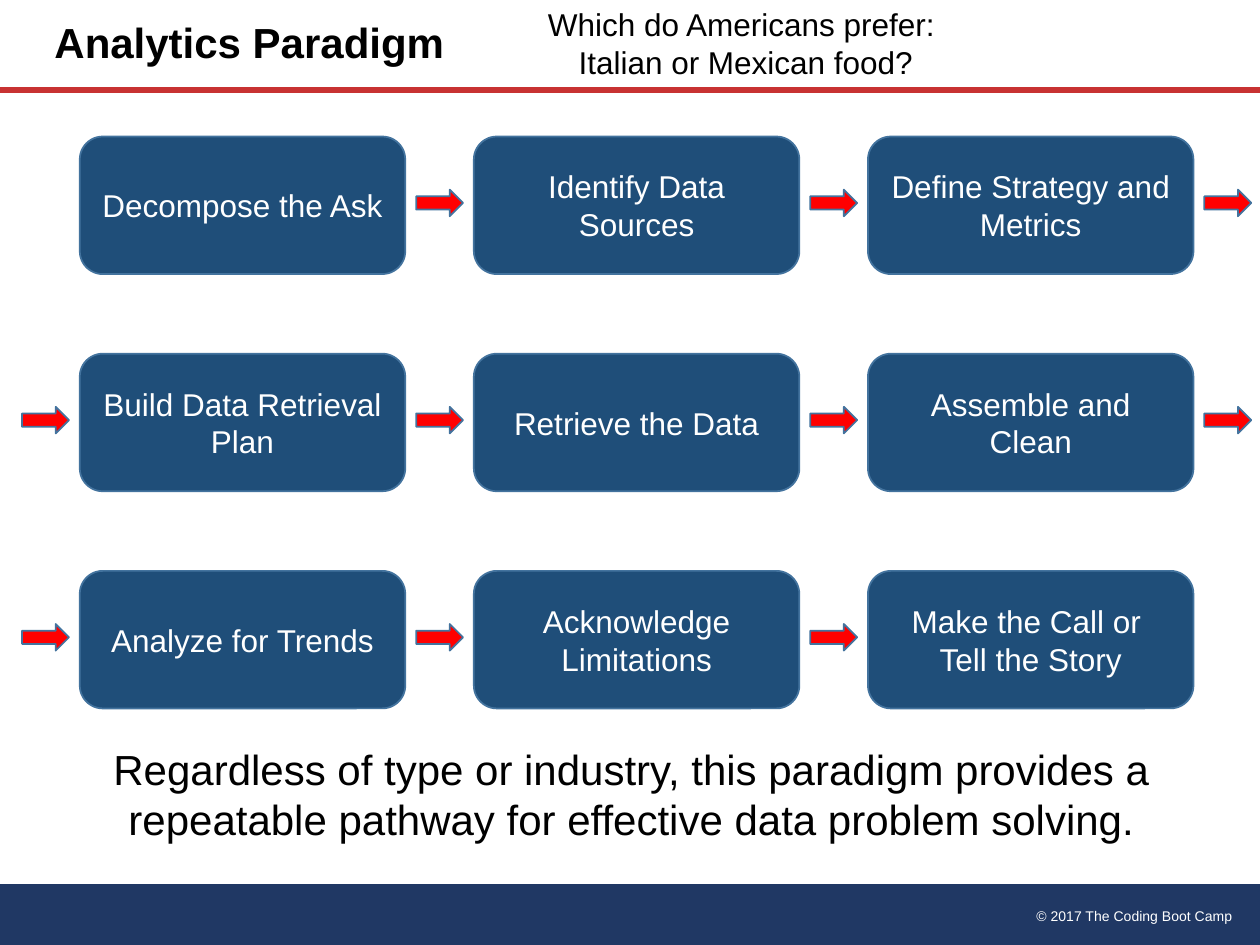
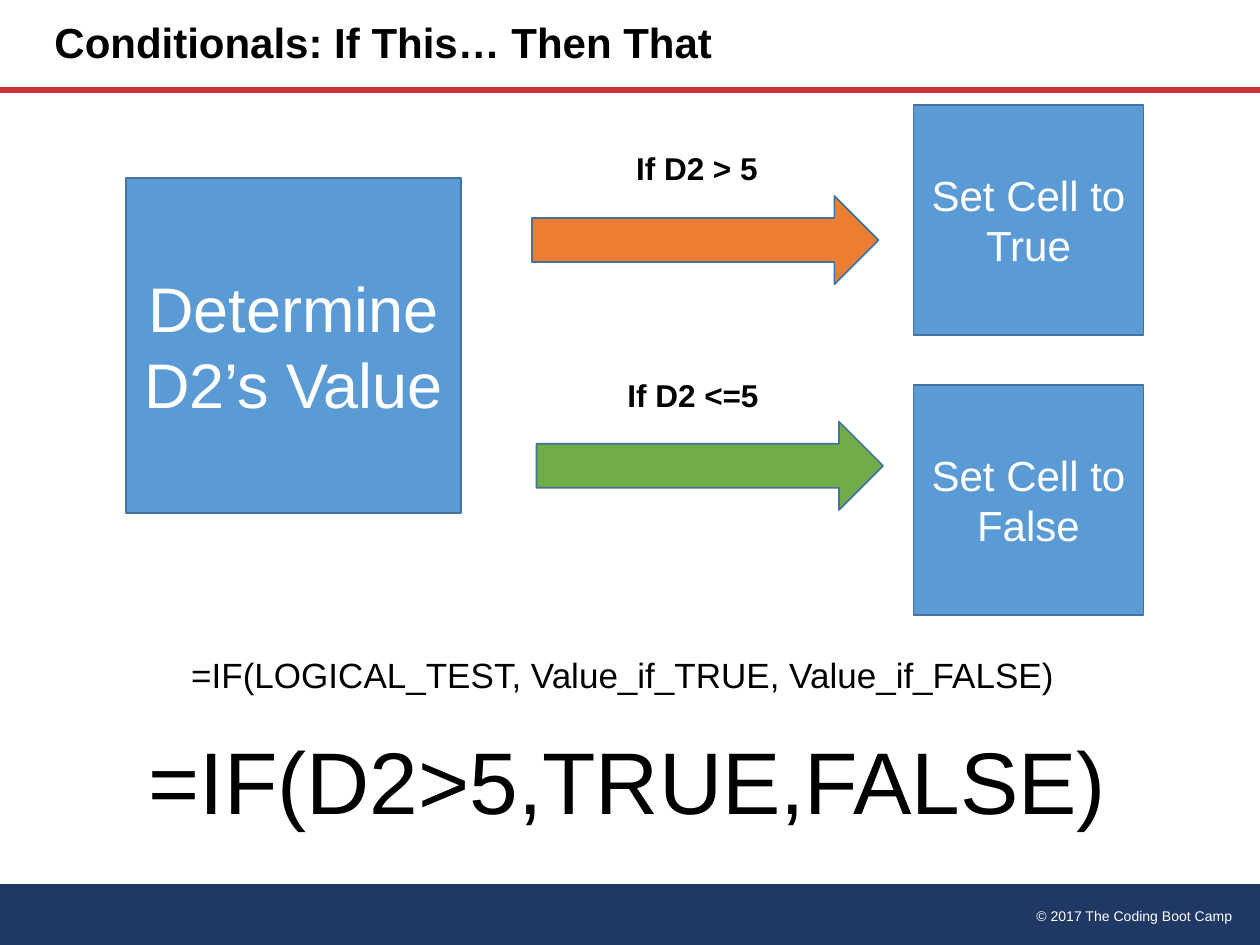
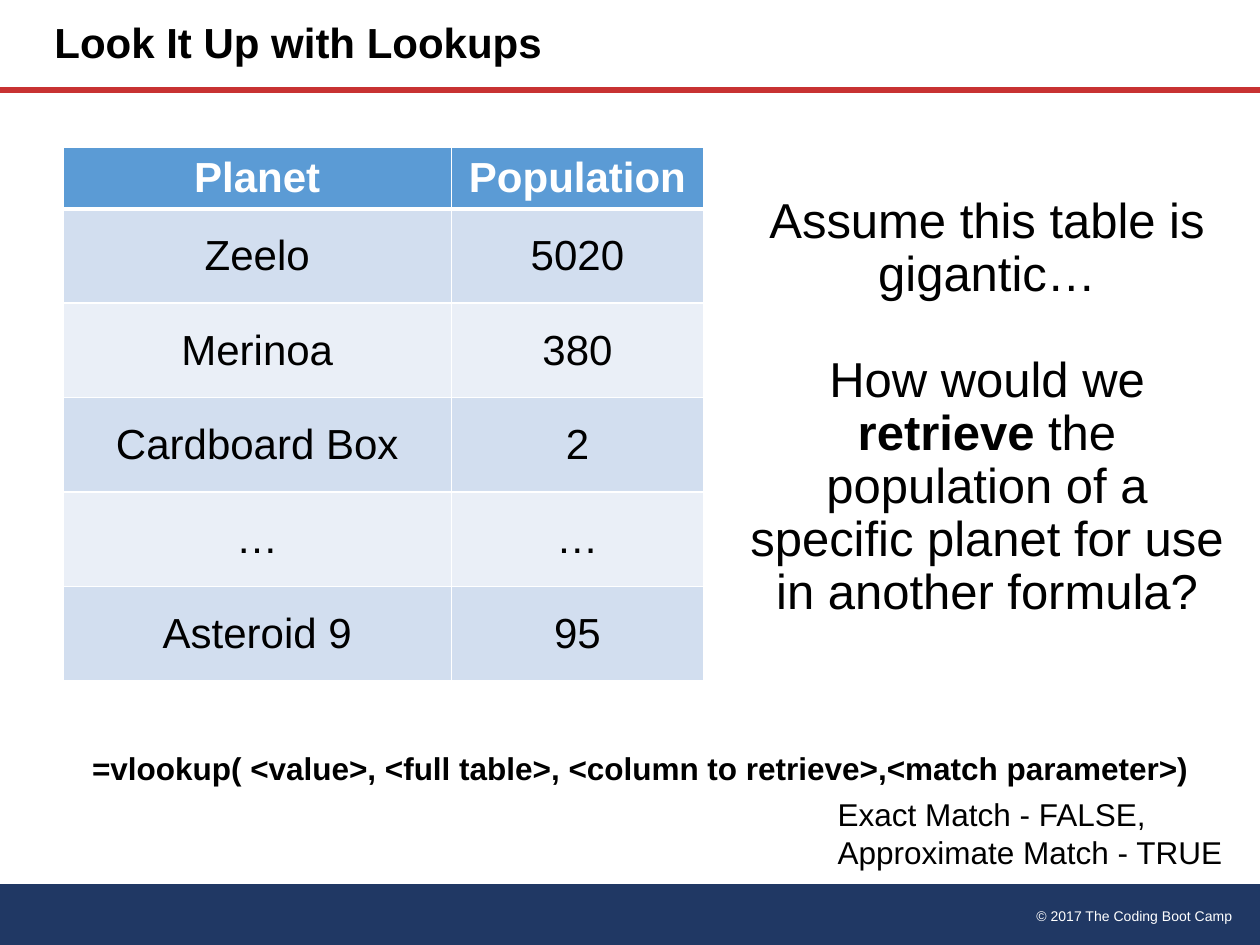
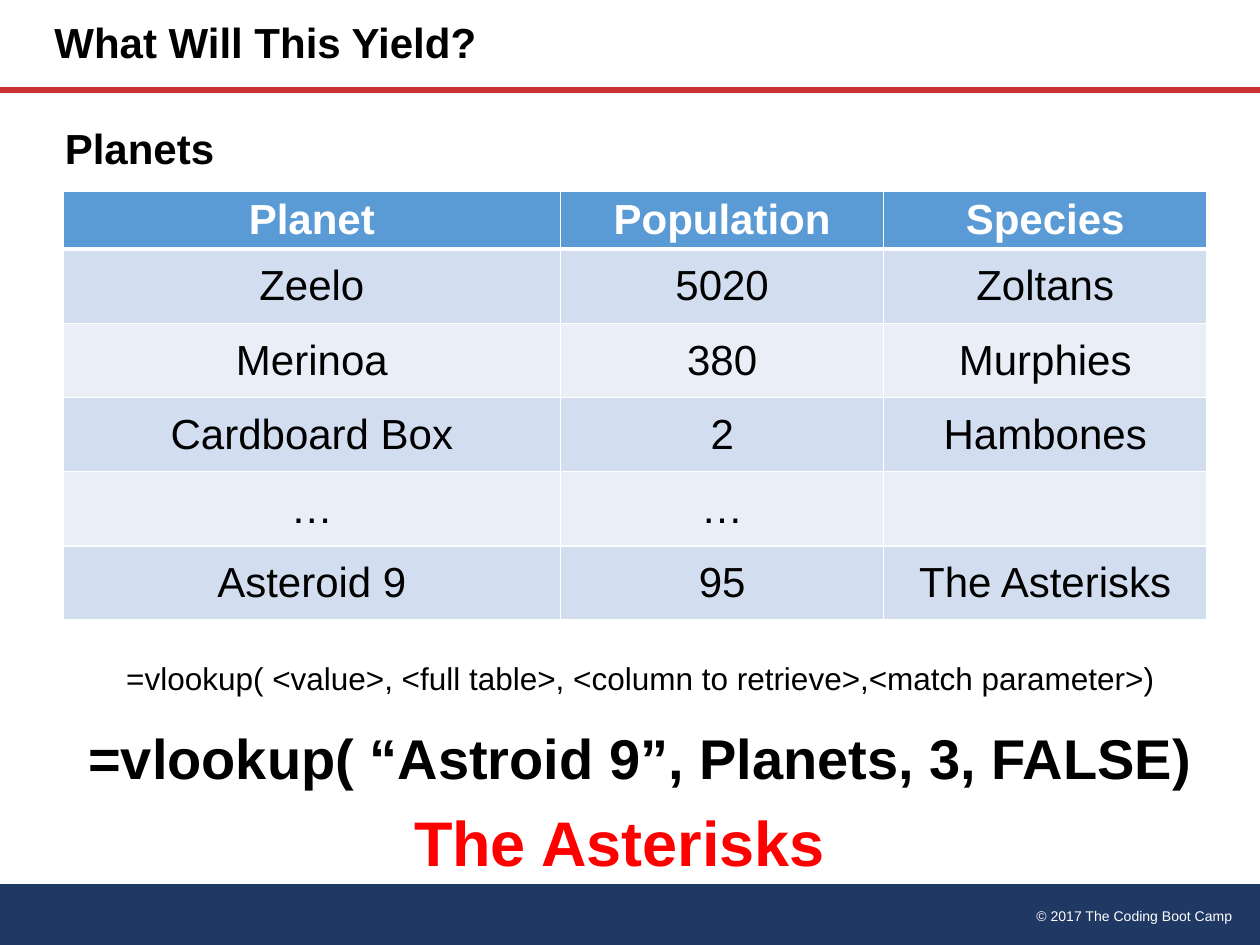
from collections import namedtuple

from lxml import etree
from pptx import Presentation
from pptx.dml.color import RGBColor
from pptx.enum.shapes import MSO_CONNECTOR, MSO_SHAPE
from pptx.enum.text import MSO_ANCHOR, PP_ALIGN
from pptx.oxml.ns import qn
from pptx.util import Pt

LEFT, CENTER, RIGHT = PP_ALIGN.LEFT, PP_ALIGN.CENTER, PP_ALIGN.RIGHT
TOP, MIDDLE = MSO_ANCHOR.TOP, MSO_ANCHOR.MIDDLE
RECT, ROUNDED = MSO_SHAPE.RECTANGLE, MSO_SHAPE.ROUNDED_RECTANGLE
ARROW, PROCESS = MSO_SHAPE.RIGHT_ARROW, MSO_SHAPE.FLOWCHART_PROCESS
STRAIGHT = MSO_CONNECTOR.STRAIGHT

FONT = "Arial"
BLACK, WHITE, RED = "000000", "FFFFFF", "FF0000"
NAVY, RULE_RED = "203864", "C83232"
STEP_BLUE, BLUE, OUTLINE = "1F4E79", "5B9BD5", "43739E"
ORANGE, GREEN = "ED7D31", "70AD47"
ROW_FILLS = ["EAEFF7", "D2DEEF"]

TITLE = {"size": 24, "bold": True, "anchor": MIDDLE, "spacing": 0.9}
CENTERED = {"align": CENTER, "anchor": MIDDLE, "spacing": 0.9}

STEPS = [
    [["Decompose the Ask"], ["Identify Data Sources"], ["Define Strategy and Metrics"]],
    [["Build Data Retrieval Plan"], ["Retrieve the Data"], ["Assemble and Clean"]],
    [["Analyze for Trends"], ["Acknowledge Limitations"],
     ["Make the Call or ", "Tell the Story"]],
]
PLANETS = [
    ["Planet", "Population", "Species"],
    ["Zeelo", "5020", "Zoltans"],
    ["Merinoa", "380", "Murphies"],
    ["Cardboard Box", "2", "Hambones"],
    ["…", "…", ""],
    ["Asteroid 9", "95", "The Asterisks"],
]
VLOOKUP_SYNTAX = "=vlookup( <value>, <full table>, <column to retrieve>,<match parameter>)"


class Box(namedtuple("Box", "left top width height")):
    def inside(self, left, top, width, height):
        return Box(self.left + left, self.top + top, width, height)

    def points(self):
        return [Pt(length) for length in self]


PAGE = Box(0, 0, 720, 540)


def color(value):
    return RGBColor.from_string(value)


def assign(target, values):
    for attribute, value in values.items():
        setattr(target, attribute, value)


def write(frame, paragraphs, size, ink=BLACK, bold=False, align=LEFT,
          anchor=TOP, spacing=1.0, gap=0, wrap=True):
    assign(frame, {"word_wrap": wrap, "vertical_anchor": anchor})
    for index, content in enumerate(paragraphs):
        paragraph = frame.add_paragraph() if index else frame.paragraphs[0]
        assign(paragraph, {"alignment": align, "line_spacing": spacing})
        if index and gap:
            paragraph.space_before = Pt(gap)
        runs = [(content, bold)] if isinstance(content, str) else content
        for text, weight in runs:
            run = paragraph.add_run()
            run.text = text
            assign(run.font, {"name": FONT, "size": Pt(size), "bold": weight})
            run.font.color.rgb = color(ink)


def add_text(slide, box, paragraphs, **style):
    write(slide.shapes.add_textbox(*box.points()).text_frame, paragraphs, **style)


def add_block(slide, preset, box, fill, outline=OUTLINE):
    block = slide.shapes.add_shape(preset, *box.points())
    block.shadow.inherit = False
    block.fill.solid()
    block.fill.fore_color.rgb = color(fill)
    if outline:
        block.line.color.rgb = color(outline)
        block.line.width = Pt(1)
    else:
        block.line.fill.background()
    return block


def add_labelled_block(slide, preset, box, fill, paragraphs, size):
    block = add_block(slide, preset, box, fill)
    write(block.text_frame, paragraphs, size, WHITE, align=CENTER, anchor=MIDDLE)


def add_frame(slide, box, title):
    footer = box.inside(0, box.height - 34.6, box.width, 34.6)
    add_block(slide, PROCESS, footer, NAVY, None)
    add_text(slide, footer.inside(491.8, 9.4, 219.6, 17.3),
             ["© 2017 The Coding Boot Camp"], size=8, ink=WHITE, align=RIGHT)
    rule_y = box.top + 51.6
    rule = slide.shapes.add_connector(
        STRAIGHT, Pt(box.left), Pt(rule_y), Pt(box.left + box.width), Pt(rule_y))
    rule.line.color.rgb = color(RULE_RED)
    rule.line.width = Pt(3.25)
    etree.SubElement(rule._element.spPr, qn("a:effectLst"))
    add_text(slide, box.inside(24, 0, 430.6, 51.6), [title], **TITLE)


def add_step_grid(slide, box):
    step_width, step_height = 186, 78.6
    column_pitch = 225.2
    row_pitch = (box.height - step_height) / (len(STEPS) - 1)
    last_row = len(STEPS) - 1
    for row, steps in enumerate(STEPS):
        top = row * row_pitch
        for column, step in enumerate(steps):
            add_labelled_block(
                slide, ROUNDED,
                box.inside(column * column_pitch, top, step_width, step_height),
                STEP_BLUE, step, 18)
        first_gap = 0 if row else 1
        end_gap = len(steps) + 1 if row < last_row else len(steps)
        for gap in range(first_gap, end_gap):
            add_block(slide, ARROW,
                      box.inside(gap * column_pitch - 33, top + 30.4, 26.8, 15.2), RED)


def add_decision(slide, box):
    add_labelled_block(slide, RECT, box.inside(0, 41.6, 191.6, 191.6), BLUE,
                       ["Determine D2’s Value"], 36)
    branches = [
        ("If D2 > 5", "Set Cell to True", ORANGE, 284.4, 85, 232),
        ("If D2 <=5", "Set Cell to False", GREEN, 279.4, 90, 234.6),
    ]
    for index, (test, outcome, fill, test_left, test_width, arrow_left) in enumerate(branches):
        add_labelled_block(slide, RECT, box.inside(450, index * 160, 131.4, 131.4),
                           BLUE, [outcome], 24)
        add_block(slide, ARROW, box.inside(arrow_left, 52 + index * 129, 198, 50.4), fill)
        add_text(slide, box.inside(test_left, 21.6 + index * 130, test_width, 28.8),
                 [test], size=18, bold=True, wrap=False)


def set_borders(cell, widths):
    properties = cell._tc.get_or_add_tcPr()
    for side, width in widths.items():
        border = etree.SubElement(properties, qn(f"a:ln{side}"), w=str(Pt(width)))
        fill = etree.SubElement(border, qn("a:solidFill"))
        etree.SubElement(fill, qn("a:srgbClr"), val=WHITE)


def add_planet_table(slide, box, column_widths, header_height):
    columns = len(column_widths)
    table = slide.shapes.add_table(len(PLANETS), columns, *box.points()).table
    for column, width in zip(table.columns, column_widths):
        column.width = Pt(width)
    row_height = (box.height - header_height) / (len(PLANETS) - 1)
    for index, values in enumerate(PLANETS):
        header = index == 0
        table.rows[index].height = Pt(row_height if index else header_height)
        for column, value in enumerate(values[:columns]):
            cell = table.cell(index, column)
            set_borders(cell, {"L": 1, "R": 1, "T": 3 if index == 1 else 1,
                               "B": 3 if header else 1})
            cell.fill.solid()
            cell.fill.fore_color.rgb = color(BLUE if header else ROW_FILLS[index % 2])
            assign(cell, {"margin_top": Pt(2), "margin_bottom": Pt(2),
                          "vertical_anchor": MIDDLE})
            write(cell.text_frame, [value], 24, WHITE if header else BLACK,
                  bold=header, align=CENTER, anchor=MIDDLE)


def paradigm_slide(slide, box):
    add_frame(slide, box, "Analytics Paradigm")
    add_step_grid(slide, box.inside(45.6, 78, 637, 326.8))
    add_text(slide, box.inside(26.6, 421.2, 668.2, 65.5),
             ["Regardless of type or industry, this paradigm provides a repeatable "
              "pathway for effective data problem solving."], size=24, align=CENTER)
    add_text(slide, box.inside(246.2, -0.7, 360, 51),
             ["Which do Americans prefer: ", "Italian or Mexican food?"],
             size=18, align=CENTER)


def conditionals_slide(slide, box):
    add_frame(slide, box, "Conditionals: If This… Then That")
    add_decision(slide, box.inside(72, 60, 581.4, 291.4))
    add_text(slide, box.inside(102.2, 370, 551.6, 31.6),
             ["=IF(LOGICAL_TEST, Value_if_TRUE, Value_if_FALSE)"], size=20)
    add_text(slide, box.inside(78, 411.8, 567.4, 67.6),
             ["=IF(D2>5,TRUE,FALSE)"], size=50, wrap=False)


def lookup_slide(slide, box):
    add_frame(slide, box, "Look It Up with Lookups")
    add_planet_table(slide, box.inside(36, 84.4, 366, 304.6), [222, 144], 35)
    add_text(slide, box.inside(24, 414, 684, 52.6), [VLOOKUP_SYNTAX],
             size=18, bold=True, **CENTERED)
    add_text(slide, box.inside(420, 102.2, 288, 262),
             ["Assume this table is gigantic…",
              [("How would we ", False), ("retrieve", True),
               (" the population of a specific planet for use in another formula?", False)]],
             size=28, gap=30, **CENTERED)
    add_text(slide, box.inside(471.6, 450.7, 236.2, 51),
             ["Exact Match - FALSE,", "Approximate Match - TRUE"], size=18, wrap=False)


def yield_slide(slide, box):
    add_frame(slide, box, "What Will This Yield?")
    add_planet_table(slide, box.inside(36, 109.4, 653.6, 245), [284.4, 184.6, 184.6], 33)
    add_text(slide, box.inside(24, 409, 684, 52.6),
             ["=vlookup( “Astroid 9”, Planets, 3, FALSE)"],
             size=32, bold=True, **CENTERED)
    add_text(slide, box.inside(30, 59.8, 684, 52.6), ["Planets"], **TITLE)
    add_text(slide, box.inside(12, 457.2, 684, 52.6), ["The Asterisks"],
             size=36, ink=RED, bold=True, **CENTERED)
    add_text(slide, box.inside(60, 373, 612, 28.8), [VLOOKUP_SYNTAX],
             size=18, align=CENTER)


def main():
    deck = Presentation()
    assign(deck, {"slide_width": Pt(PAGE.width), "slide_height": Pt(PAGE.height)})
    blank = deck.slide_layouts[6]
    for build in (paradigm_slide, conditionals_slide, lookup_slide, yield_slide):
        build(deck.slides.add_slide(blank), PAGE)
    deck.save("out.pptx")


if __name__ == "__main__":
    main()
